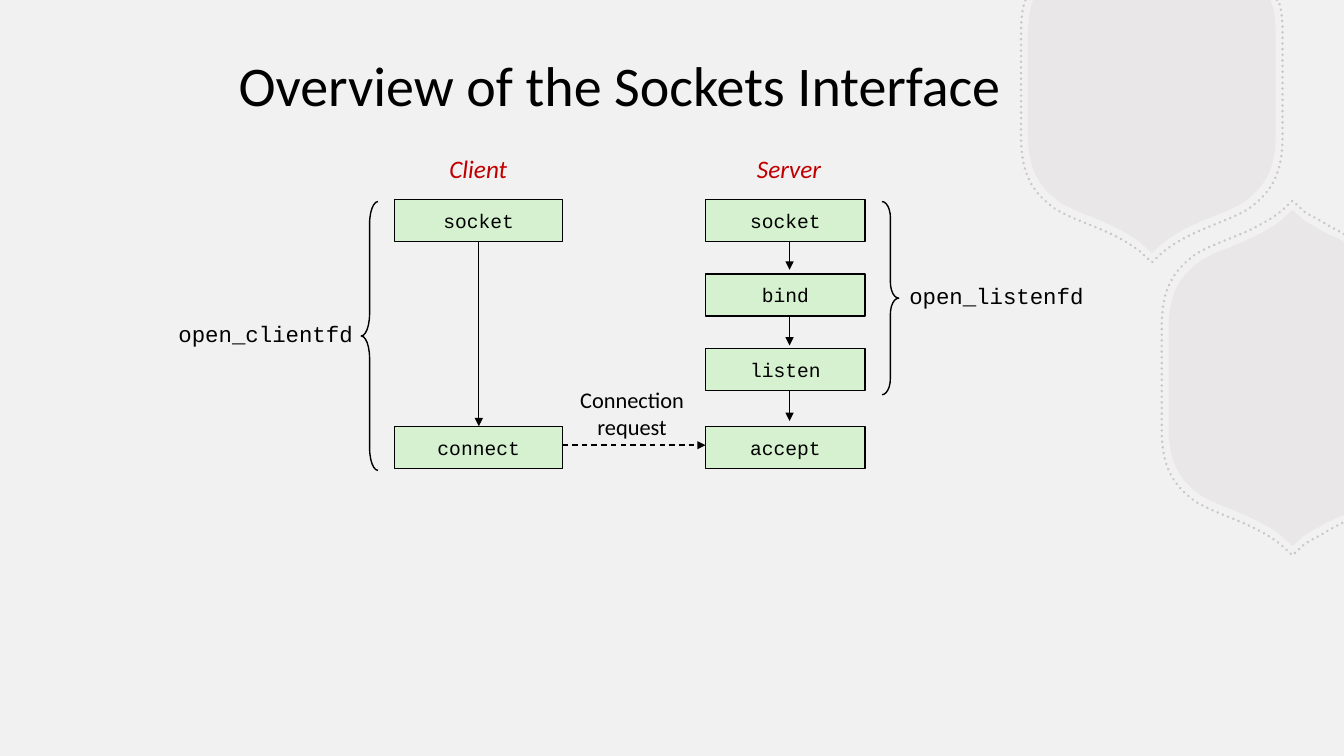
from dataclasses import dataclass

import pptx
import pptx.dml.color
import pptx.enum.dml
import pptx.enum.shapes
import pptx.enum.text
import pptx.oxml
import pptx.oxml.ns
import pptx.util

SHAPES = pptx.enum.shapes.MSO_SHAPE
DASHES = pptx.enum.dml.MSO_LINE
TOP, BOTTOM = 0, 2

# Content; lengths are px at 96 to the inch, boxes are left, top, width, height
SLIDE_SIZE = (1280, 720)
TITLE = "Overview of the Sockets Interface"
TITLE_BOX = (192, 12, 796, 137)
BOX_HEIGHT = 40
CLIENT = {"left": 376, "width": 160, "calls": {"socket": 190, "connect": 406}}
SERVER = {"left": 672, "width": 152,
          "calls": {"socket": 190, "bind": 261, "listen": 332, "accept": 406}}
SERVER_ARROWS = {"x": 752, "top": 226, "length": 31, "step": 72, "count": 3}
REQUEST_ARROW = ((480, 424), (672, 424))
LABELS = [  # lines, box, style
    (["Client"], (418, 141, 75, 39), "heading"),
    (["Server"], (711, 141, 81, 39), "heading"),
    (["Connection", "request"], (542, 363, 120, 61), "note"),
    (["open_listenfd"], (855, 264, 188, 35), "helper"),
    (["open_clientfd"], (159, 300, 188, 36), "helper"),
]
BRACES = [  # preset, box, curl
    (SHAPES.LEFT_BRACE, (344, 192, 16, 256), 1.33),
    (SHAPES.RIGHT_BRACE, (840, 192, 16, 184), 0.96),
]
# Half outlines as offsets from the center: one point is a line, three are a curve
SHIELDS = [  # center, mirror signs, half outline
    ((1097, 81), (-1, 1), [
        [(113, -81)], [(114, -78)],
        [(117, -70), (118, -59), (118, -47)], [(118, 47)],
        [(118, 80), (108, 97), (87, 112)], [(65, 125), (37, 130), (11, 150)],
        [(0, 160)]]),
    ((1231, 360), (1, -1), [
        [(49, -130)], [(30, -139)],
        [(24, -143), (17, -146), (11, -150)], [(0, -160)], [(-11, -150)],
        [(-37, -130), (-65, -125), (-87, -112)],
        [(-108, -97), (-118, -80), (-118, -47)]]),
]
OUTLINE_SCALE = 1.055


@dataclass(frozen=True)
class Theme:
    background: str = "F2F1F1"
    decor: str = "B8B2B2"
    box: str = "D5F1CF"
    ink: str = "000000"
    accent: str = "C00000"
    sans: str = "Calibri"
    mono: str = "Courier New"

    def text(self, style):
        """Font name, size, colour and italic of a text style."""
        return {
            "title": (self.sans, 40, self.ink, False),
            "heading": (self.sans, 18, self.accent, True),
            "note": (self.sans, 16, self.ink, False),
            "helper": (self.mono, 16, self.ink, False),
            "call": (self.mono, 14, self.ink, False),
        }[style]


THEME = Theme()


def px(length):
    return pptx.util.Emu(round(length * 9525))


def color(value):
    return pptx.dml.color.RGBColor.from_string(value)


def add_xml(parent, tag, **attributes):
    element = pptx.oxml.parse_xml(f"<a:{tag} {pptx.oxml.ns.nsdecls('a')}/>")
    for name, value in attributes.items():
        element.set(name, value)
    parent.append(element)


def set_line(shape, value, width, dash=None):
    shape.line.color.rgb = color(value)
    shape.line.width = pptx.util.Pt(width)
    if dash:
        shape.line.dash_style = dash


def write(shape, lines, style, wrap=False):
    font_name, size, value, italic = THEME.text(style)
    frame = shape.text_frame
    frame.word_wrap = wrap
    frame.vertical_anchor = pptx.enum.text.MSO_ANCHOR.MIDDLE
    for index, line in enumerate(lines):
        paragraph = frame.add_paragraph() if index else frame.paragraphs[0]
        paragraph.alignment = pptx.enum.text.PP_ALIGN.CENTER
        run = paragraph.add_run()
        run.text = line
        run.font.name = font_name
        run.font.size = pptx.util.Pt(size)
        run.font.italic = italic
        run.font.color.rgb = color(value)


def mirrored(half, signs):
    """The half outline followed by its mirror image, walked backwards."""
    points = [(x * signs[0], y * signs[1]) for segment in half for x, y in segment]
    points.reverse()
    result = half + [[points[0]]]
    position = 1
    for segment in reversed(half[1:]):
        result.append(points[position:position + len(segment)])
        position += len(segment)
    return result


def add_outline(slide, center, segments, scale, close):
    """Freeform whose three-point segments become Bézier curves."""
    points = [(px(min(center[0] + x * scale, SLIDE_SIZE[0])), px(max(center[1] + y * scale, 0)))
              for segment in segments for x, y in segment]
    builder = slide.shapes.build_freeform(*points[0])
    builder.add_line_segments(points[1:], close=close)
    shape = builder.convert_to_shape()
    shape.shadow.inherit = False
    lines = iter(list(shape._element.spPr.iter(pptx.oxml.ns.qn("a:lnTo"))))
    for segment in segments[1:]:
        steps = [next(lines) for _ in segment]
        if len(steps) == 3:
            curve = pptx.oxml.parse_xml(f"<a:cubicBezTo {pptx.oxml.ns.nsdecls('a')}/>")
            steps[0].addprevious(curve)
            for step in steps:
                curve.append(step[0])
                step.getparent().remove(step)
    return shape


def set_opacity(shape, percent):
    for element in list(shape._element.spPr.iter(pptx.oxml.ns.qn("a:srgbClr"))):
        add_xml(element, "alpha", val=str(percent * 1000))


def add_shields(slide):
    for center, signs, half in SHIELDS:
        shape = add_outline(slide, center, mirrored(half, signs), 1, close=True)
        shape.fill.solid()
        shape.fill.fore_color.rgb = color(THEME.decor)
        shape.line.fill.background()
        set_opacity(shape, 15)
    for center, signs, half in SHIELDS:
        shape = add_outline(slide, center, mirrored(half, signs), OUTLINE_SCALE, close=False)
        shape.fill.background()
        set_line(shape, THEME.decor, 2, DASHES.ROUND_DOT)
        shape.line._get_or_add_ln().set("cap", "rnd")
        set_opacity(shape, 65)


def add_calls(slide, column):
    boxes = {}
    for call, top in column["calls"].items():
        shape = slide.shapes.add_shape(
            SHAPES.RECTANGLE, *map(px, (column["left"], top, column["width"], BOX_HEIGHT)))
        shape.shadow.inherit = False
        shape.fill.solid()
        shape.fill.fore_color.rgb = color(THEME.box)
        set_line(shape, THEME.ink, 1)
        write(shape, [call], "call")
        boxes[call] = shape
    return boxes


def add_arrow(slide, start=(0, 0), end=(0, 0), dash=None):
    arrow = slide.shapes.add_connector(
        pptx.enum.shapes.MSO_CONNECTOR.STRAIGHT, *map(px, (*start, *end)))
    set_line(arrow, THEME.ink, 1, dash)
    add_xml(arrow.line._get_or_add_ln(), "tailEnd", type="triangle")
    add_xml(arrow._element.spPr, "effectLst")
    return arrow


def main():
    presentation = pptx.Presentation()
    presentation.slide_width, presentation.slide_height = map(px, SLIDE_SIZE)
    slide = presentation.slides.add_slide(presentation.slide_layouts[5])
    slide.background.fill.solid()
    slide.background.fill.fore_color.rgb = color(THEME.background)
    add_shields(slide)
    title = slide.shapes.title
    title.left, title.top, title.width, title.height = map(px, TITLE_BOX)
    write(title, [TITLE], "title", wrap=True)

    for index in range(SERVER_ARROWS["count"]):
        x, top = SERVER_ARROWS["x"], SERVER_ARROWS["top"] + index * SERVER_ARROWS["step"]
        add_arrow(slide, (x, top), (x, top + SERVER_ARROWS["length"]))
    add_arrow(slide, *REQUEST_ARROW, dash=DASHES.DASH)
    client = add_calls(slide, CLIENT)
    add_calls(slide, SERVER)
    arrow = add_arrow(slide)
    arrow.begin_connect(client["socket"], BOTTOM)
    arrow.end_connect(client["connect"], TOP)

    for preset, box, curl in BRACES:
        brace = slide.shapes.add_shape(preset, *map(px, box))
        brace.shadow.inherit = False
        brace.adjustments[0] = curl
        brace.fill.background()
        set_line(brace, THEME.ink, 1)
    for lines, box, style in LABELS:
        write(slide.shapes.add_textbox(*map(px, box)), lines, style)
    presentation.save("out.pptx")


if __name__ == "__main__":
    main()
